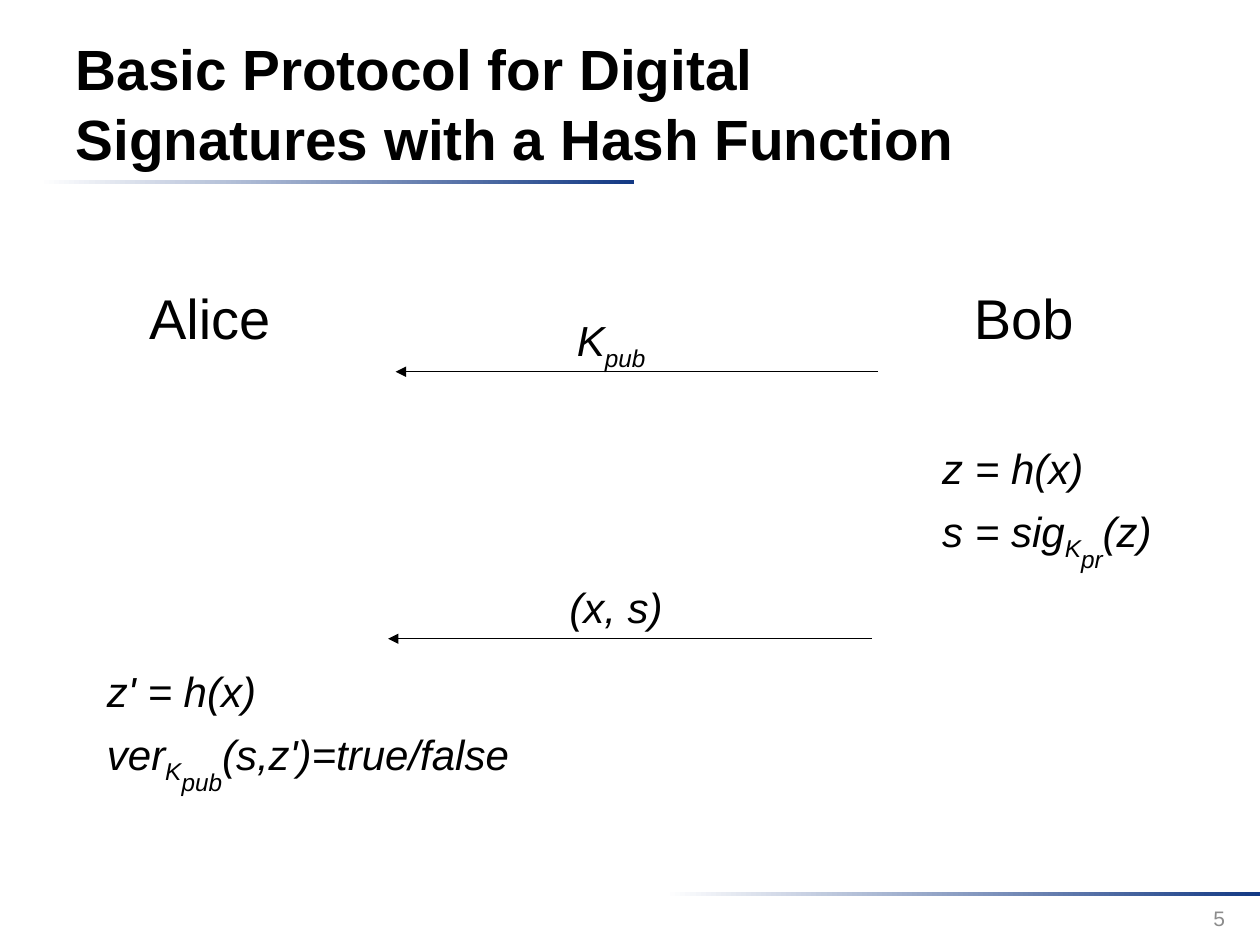
import pptx
import pptx.util
import pptx.dml.color
import pptx.enum.shapes
import pptx.enum.text
import pptx.oxml.ns
import lxml.etree

Inches = pptx.util.Inches
Pt = pptx.util.Pt
RGBColor = pptx.dml.color.RGBColor
ALIGN = pptx.enum.text.PP_ALIGN
MIDDLE = pptx.enum.text.MSO_ANCHOR.MIDDLE

BLACK = RGBColor(0x00, 0x00, 0x00)
WHITE = RGBColor(0xFF, 0xFF, 0xFF)
NAVY = RGBColor(0x13, 0x39, 0x84)
GREY = RGBColor(0x8C, 0x8C, 0x8C)

TITLE = {"size": Pt(32.4), "bold": True}
NAME = {"size": Pt(32)}
MATH = {"size": Pt(24), "italic": True}
PAGE = {"size": Pt(12)}


def style(font, form, color=BLACK):
    for key, value in {"name": "Arial", **form}.items():
        setattr(font, key, value)
    font.color.rgb = color


def place(shape, box):
    for key, value in zip(("left", "top", "width", "height"), box):
        setattr(shape, key, Inches(value))


def add_title(slide, text, box):
    title = slide.shapes.title
    place(title, box)
    frame = title.text_frame
    frame.text = text
    frame.auto_size = pptx.enum.text.MSO_AUTO_SIZE.NONE
    frame.vertical_anchor = MIDDLE
    para = frame.paragraphs[0]
    para.alignment = ALIGN.LEFT
    para.space_before = Pt(6.5)
    para.line_spacing = 1.04
    style(para.runs[0].font, TITLE)


def add_text(slide, parts, box, form, align=ALIGN.LEFT, color=BLACK):
    """Add one line of text; parts are (text, baseline shift in percent)."""
    frame = slide.shapes.add_textbox(*map(Inches, box)).text_frame
    frame.word_wrap = True
    para = frame.paragraphs[0]
    para.alignment = align
    para.space_before = Pt(form["size"].pt * 0.1)
    for text, shift in parts:
        run = para.add_run()
        run.text = text
        style(run.font, form, color)
        if shift:
            run.font._element.set("baseline", str(shift * 1000))
    return frame


def add_rule(slide, left, top):
    rule = slide.shapes.add_shape(
        pptx.enum.shapes.MSO_SHAPE.RECTANGLE,
        *map(Inches, (left, top, 4.72, 0.03)))
    rule.shadow.inherit = False
    rule.line.fill.background()
    rule.fill.gradient()
    rule.fill.gradient_angle = 0
    for stop, color in zip(rule.fill.gradient_stops, (WHITE, NAVY)):
        stop.color.rgb = color


def add_arrow(slide, start, end, top):
    arrow = slide.shapes.add_connector(
        pptx.enum.shapes.MSO_CONNECTOR.STRAIGHT,
        *map(Inches, (start, top, end, top)))
    arrow.line.color.rgb = BLACK
    arrow.line.width = Pt(0.75)
    qn = pptx.oxml.ns.qn
    lxml.etree.SubElement(arrow.line._get_or_add_ln(), qn("a:tailEnd"),
                          type="triangle")
    lxml.etree.SubElement(arrow._element.spPr, qn("a:effectLst"))


def add_send(slide, parts, start, end, top):
    """Add a message arrow with its label resting on it."""
    add_arrow(slide, start, end, top)
    add_text(slide, parts, (end + 1.34, top - 0.5, 1.08, 0.5), MATH)


def add_steps(slide, steps, left, top, width):
    for row, parts in enumerate(steps):
        add_text(slide, parts, (left, top + row * 0.5, width, 0.5), MATH)


def main():
    deck = pptx.Presentation()
    deck.slide_width, deck.slide_height = Inches(10), Inches(7.5)
    slide = deck.slides.add_slide(deck.slide_layouts[5])

    add_rule(slide, 0.31, 1.43)
    add_rule(slide, 5.28, 7.08)
    add_title(slide, "Basic Protocol for Digital Signatures with a Hash Function",
              (0.5, 0.18, 7.73, 1.25))
    page = add_text(slide, [("5", 0)], (7.49, 7.09, 2.33, 0.4), PAGE,
                    ALIGN.RIGHT, GREY)
    page.vertical_anchor = MIDDLE

    for name, left in (("Alice", 0.84), ("Bob", 7.3)):
        add_text(slide, [(name, 0)], (left, 2.2, 1.65, 0.63), NAME,
                 ALIGN.CENTER)

    add_send(slide, [("K", 0), ("pub", -25)], 6.97, 3.14, 2.95)
    add_steps(slide, [
        [("z = h(x)", 0)],
        [("s = sig", 0), ("K", -25), ("pr", -50), ("(z)", 0)],
    ], 7.38, 3.46, 2.06)
    add_send(slide, [("(x, s)", 0)], 6.92, 3.08, 5.07)
    add_steps(slide, [
        [("z' = h(x)", 0)],
        [("ver", 0), ("K", -25), ("pub", -50), ("(s,z')=true/false", 0)],
    ], 0.75, 5.23, 3.48)

    deck.save("out.pptx")


if __name__ == "__main__":
    main()
